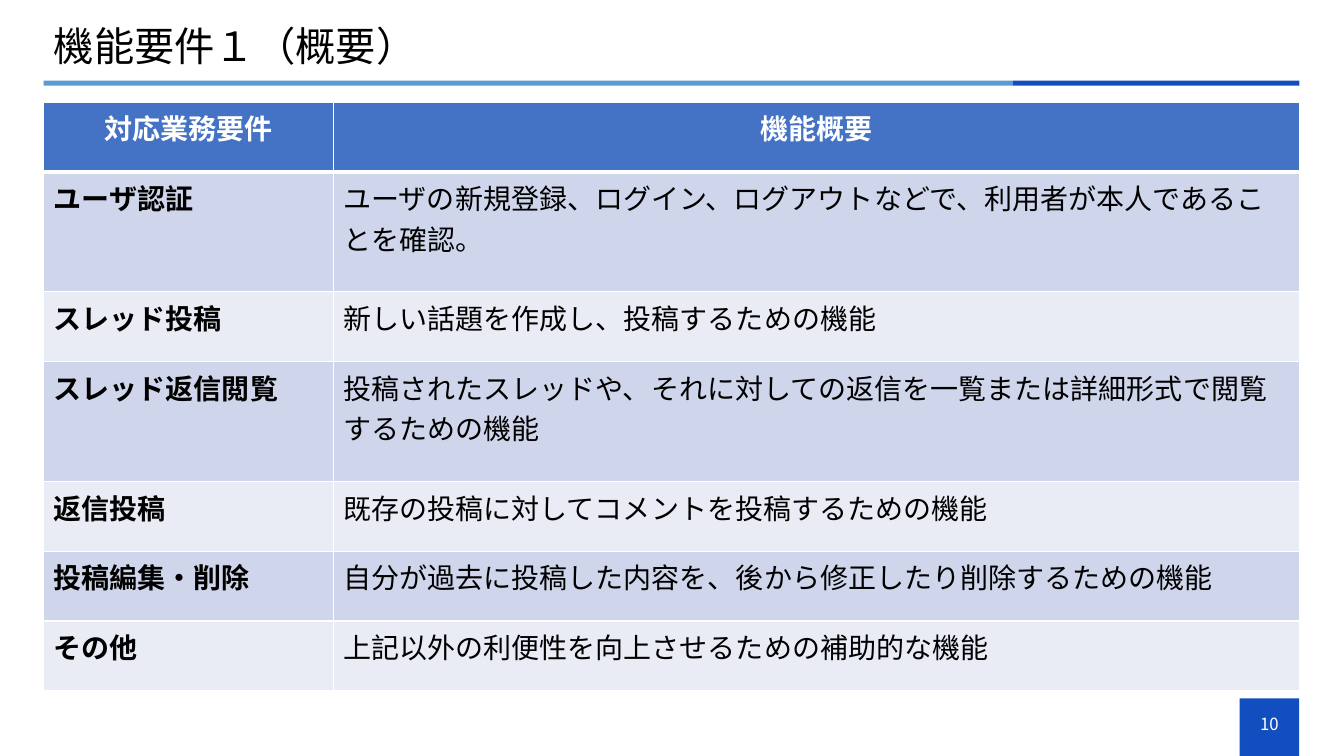
from dataclasses import dataclass

from lxml import etree
from pptx import Presentation
from pptx import util as u
from pptx.dml.color import RGBColor
from pptx.enum import shapes, text
from pptx.oxml.ns import qn

FONT = "Noto Sans CJK JP"
COLORS = {
    "navy": "134EC1",
    "sky": "5B9BD5",
    "header": "4472C4",
    "band_dark": "CFD5EA",
    "band_light": "E9EBF5",
    "white": "FFFFFF",
    "black": "000000",
}
LEFT, WIDTH = 1.1, 31.65


@dataclass(frozen=True)
class Block:
    left: float
    top: float
    width: float
    height: float
    color: str


@dataclass(frozen=True)
class Requirement:
    name: str
    summary: str
    height: float = 1.76


BLOCKS = [
    Block(31.24, 17.6, 1.5, 1.45, "navy"),
    Block(LEFT, 2.03, 24.42, 0.13, "sky"),
    Block(25.52, 2.03, 7.23, 0.13, "navy"),
]
HEADING = Requirement("対応業務要件", "機能概要")
REQUIREMENTS = [
    Requirement("ユーザ認証", "ユーザの新規登録、ログイン、ログアウトなどで、利用者が本人であることを確認。", 3.02),
    Requirement("スレッド投稿", "新しい話題を作成し、投稿するための機能"),
    Requirement("スレッド返信閲覧", "投稿されたスレッドや、それに対しての返信を一覧または詳細形式で閲覧するための機能", 3.02),
    Requirement("返信投稿", "既存の投稿に対してコメントを投稿するための機能"),
    Requirement("投稿編集・削除", "自分が過去に投稿した内容を、後から修正したり削除するための機能"),
    Requirement("その他", "上記以外の利便性を向上させるための補助的な機能"),
]


def rgb(color: str) -> RGBColor:
    return RGBColor.from_string(COLORS[color])


def apply(target, values: dict) -> None:
    for name, value in values.items():
        setattr(target, name, value)


def write(frame, wording: str, size: float, color: str, align, bold: bool = False, **paragraph_format) -> None:
    paragraph = frame.paragraphs[0]
    apply(paragraph, {"alignment": align, **paragraph_format})
    run = paragraph.add_run()
    run.text = wording
    apply(run.font, {"size": u.Pt(size), "bold": bold, "name": FONT})
    run.font.color.rgb = rgb(color)
    etree.SubElement(run.font._element, qn("a:ea"), typeface=FONT)


def draw_block(slide, block: Block) -> None:
    bar = slide.shapes.add_shape(
        shapes.MSO_SHAPE.RECTANGLE,
        *map(u.Cm, (block.left, block.top, block.width, block.height)),
    )
    bar.shadow.inherit = False
    bar.fill.solid()
    bar.fill.fore_color.rgb = rgb(block.color)
    bar.line.fill.background()


def draw_borders(cell, bottom: float) -> None:
    properties = cell._tc.get_or_add_tcPr()
    for side, points in {"L": 1, "R": 1, "T": 1, "B": bottom}.items():
        line = etree.SubElement(properties, qn(f"a:ln{side}"), w=str(u.Pt(points)))
        fill = etree.SubElement(line, qn("a:solidFill"))
        etree.SubElement(fill, qn("a:srgbClr"), val=COLORS["white"])


def draw_requirements(slide, rows: list[Requirement]) -> None:
    height = sum(row.height for row in rows)
    table = slide.shapes.add_table(
        len(rows), 2, *map(u.Cm, (LEFT, 2.57, WIDTH, height))
    ).table
    for column, width in zip(table.columns, (7.3, 24.35)):
        column.width = u.Cm(width)
    for index, row in enumerate(rows):
        table.rows[index].height = u.Cm(row.height)
        heading = index == 0
        band = "header" if heading else ("band_light", "band_dark")[index % 2]
        color = "white" if heading else "black"
        align = text.PP_ALIGN.CENTER if heading else text.PP_ALIGN.LEFT
        for column, wording in enumerate((row.name, row.summary)):
            cell = table.cell(index, column)
            draw_borders(cell, 3 if heading else 1)
            cell.fill.solid()
            cell.fill.fore_color.rgb = rgb(band)
            write(cell.text_frame, wording, 20, color, align, heading or column == 0)


def main() -> None:
    deck = Presentation()
    apply(deck, {"slide_width": u.Cm(33.87), "slide_height": u.Cm(19.05)})
    slide = deck.slides.add_slide(deck.slide_layouts[5])
    for block in BLOCKS:
        draw_block(slide, block)

    frame_format = {
        "vertical_anchor": text.MSO_ANCHOR.MIDDLE,
        "word_wrap": True,
        "auto_size": text.MSO_AUTO_SIZE.NONE,
    }
    title = slide.shapes.title
    apply(title, {"left": u.Cm(LEFT), "top": u.Cm(0.53), "width": u.Cm(WIDTH), "height": u.Cm(1.4)})
    apply(title.text_frame, frame_format)
    write(title.text_frame, "機能要件１（概要）", 28.8, "black", text.PP_ALIGN.LEFT, line_spacing=0.9)

    page_number = slide.shapes.add_textbox(*map(u.Cm, (31.24, 17.73, 1.5, 1.02)))
    apply(page_number.text_frame, frame_format)
    write(page_number.text_frame, "10", 12, "white", text.PP_ALIGN.CENTER)

    draw_requirements(slide, [HEADING, *REQUIREMENTS])
    deck.save("out.pptx")


if __name__ == "__main__":
    main()
